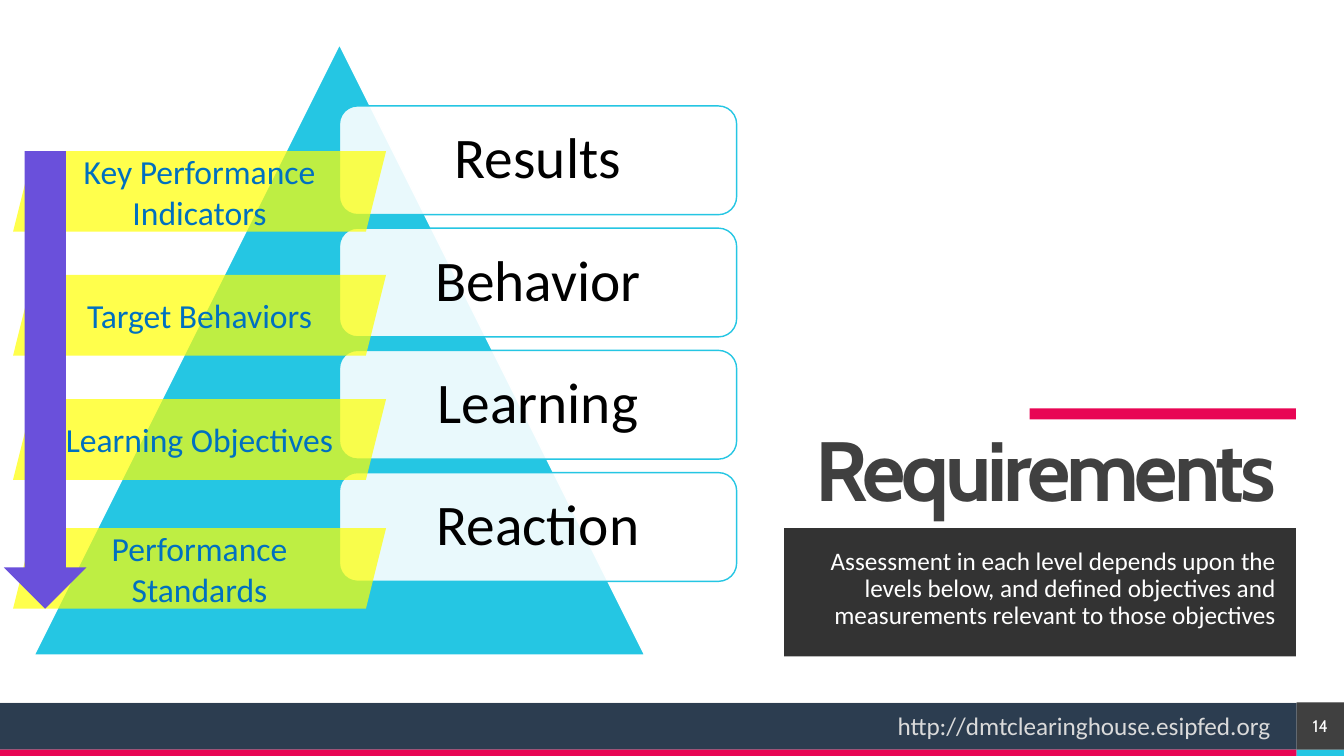
from lxml import etree
from pptx import Presentation
from pptx.dml.color import RGBColor
from pptx.enum.shapes import MSO_CONNECTOR, MSO_SHAPE
from pptx.enum.text import MSO_ANCHOR, MSO_AUTO_SIZE, PP_ALIGN
from pptx.oxml.ns import qn
from pptx.util import Cm, Pt

RECT = MSO_SHAPE.RECTANGLE
ROUND = MSO_SHAPE.ROUNDED_RECTANGLE
PEAK = MSO_SHAPE.ISOSCELES_TRIANGLE
SLANT = MSO_SHAPE.PARALLELOGRAM
ARROW = MSO_SHAPE.DOWN_ARROW
LINE = MSO_CONNECTOR.STRAIGHT
LEFT, MID, RIGHT = PP_ALIGN.LEFT, PP_ALIGN.CENTER, PP_ALIGN.RIGHT
TOP, CENTER = MSO_ANCHOR.TOP, MSO_ANCHOR.MIDDLE
FIXED = MSO_AUTO_SIZE.NONE

WIDE, HIGH = 33.87, 19.05
CYAN, PINK, GRAY, WHITE = "25C6E3", "E80554", "404040", "FFFFFF"
LEVELS = ["Results", "Behavior", "Learning", "Reaction"]
GOALS = [
    ("Key Performance Indicators", 0),
    ("Target Behaviors", 3.12),
    ("Learning Objectives", 6.25),
    ("Performance Standards", 9.5),
]
NOTE = (
    "Assessment in each level depends upon the levels below, "
    "and defined objectives and measurements relevant to those objectives"
)


def color(code):
    """Turn a hex string into a colour."""
    return RGBColor.from_string(code)


def paint(shape, fill, alpha=100, line=None):
    """Give a shape its fill, opacity and outline."""
    shape.fill.solid()
    shape.fill.fore_color.rgb = color(fill)
    if alpha < 100:
        tone = shape.element.find(".//" + qn("a:solidFill"))[0]
        etree.SubElement(tone, qn("a:alpha"), val=str(alpha * 1000))
    if line:
        shape.line.color.rgb = color(line)
        shape.line.width = Pt(1)
    else:
        shape.line.fill.background()


def draw(slide, kind, box, fill, alpha=100, line=None):
    """Add a preset shape in a box given in centimetres."""
    shape = slide.shapes.add_shape(kind, *map(Cm, box))
    shape.shadow.inherit = False
    paint(shape, fill, alpha, line)
    return shape


def write(shape, text, size, tone, face="Calibri", align=MID, anchor=CENTER,
          inset=None, lead=1.0, bold=False):
    """Set one styled paragraph in a shape."""
    frame = shape.text_frame
    frame.word_wrap = True
    frame.auto_size = FIXED
    frame.vertical_anchor = anchor
    if inset is not None:
        frame.margin_left = frame.margin_right = Cm(inset)
        frame.margin_top = frame.margin_bottom = Cm(inset)
    para = frame.paragraphs[0]
    para.text = text
    para.alignment = align
    para.line_spacing = lead
    para.space_before = Pt(0)
    font = para.font
    font.name, font.size, font.bold = face, Pt(size), bold
    font.color.rgb = color(tone)


def place(shape, box):
    """Move a placeholder into a box given in centimetres."""
    shape.left, shape.top, shape.width, shape.height = map(Cm, box)


def footer(slide, left, top, width, height):
    """Draw the bottom band with its address and page number."""
    tile, strip = 1.19, 0.16
    band, edge = width - tile, left + width - tile
    base = top + height - strip
    draw(slide, RECT, (left, top, band, height - strip), "2C3D50")
    draw(slide, RECT, (left, base, band, strip), PINK)
    draw(slide, RECT, (edge, base, tile, strip), CYAN)
    rule = slide.shapes.add_connector(
        LINE, Cm(left + width), Cm(top), Cm(left), Cm(top))
    rule.line.color.rgb = color("F2F2F2")
    rule.line.width = Pt(0.5)
    etree.SubElement(rule.element.spPr, qn("a:effectLst"))
    site = slide.shapes.add_textbox(
        Cm(edge - 10.31), Cm(top + 0.08), Cm(10.31), Cm(1.02))
    write(site, "http://dmtclearinghouse.esipfed.org", 18, "DADADA",
          align=LEFT, anchor=TOP)
    site.text_frame.word_wrap = False
    page = draw(slide, RECT, (edge, top, tile, height - strip), GRAY)
    write(page, "14", 12, WHITE, "Cabin", inset=0)


def heading(slide, left, top, width, height):
    """Fill the title and the dark note under a pink bar."""
    title, body = slide.placeholders
    bar = draw(slide, RECT, (left + width - 6.71, top, 6.71, 0.33), PINK)
    title.element.addprevious(bar.element)
    place(title, (left, top + 0.28, width, 2.74))
    paint(title, WHITE)
    write(title, "Requirements", 60, GRAY, "Cabin", RIGHT, inset=0.51,
          lead=0.9, bold=True)
    title.element.find(".//" + qn("a:defRPr")).set("spc", "-300")
    place(body, (left, top + 3.02, width, height - 3.02))
    paint(body, "000000", 80)
    para = body.text_frame.paragraphs[0]
    para.alignment = RIGHT
    props = body.element.find(".//" + qn("a:pPr"))
    props.set("marL", "0")
    props.set("indent", "0")
    etree.SubElement(props, qn("a:buNone"))
    write(body, NOTE, 18, WHITE, align=RIGHT, anchor=TOP, inset=0.51, lead=0.9)


def pyramid(slide, left, top, size):
    """Draw the triangle with one card for each level."""
    draw(slide, PEAK, (left, top, size, size), CYAN, line=WHITE)
    for row, name in enumerate(LEVELS):
        box = (left + size / 2, top + 1.55 + row * 3.08, 10.01, 2.74)
        card = draw(slide, ROUND, box, WHITE, 90, CYAN)
        write(card, name, 41, "000000", inset=0.43, lead=0.9)


def goals(slide, left, top, width, height):
    """Draw the slanted labels and the arrow running down them."""
    for name, drop in GOALS:
        label = draw(slide, SLANT, (left + 0.23, top + drop, width - 0.23, 2.03),
                     "FFFF00", 70)
        write(label, name, 24, "0070C0")
    draw(slide, ARROW, (left, top, 2.08, height), "6A50DB")


def main():
    """Build and save the slide."""
    deck = Presentation()
    deck.slide_width, deck.slide_height = Cm(WIDE), Cm(HIGH)
    slide = deck.slides.add_slide(deck.slide_layouts[1])
    footer(slide, 0, 17.7, WIDE, HIGH - 17.7)
    heading(slide, 19.76, 10.29, 12.9, 6.25)
    pyramid(slide, 0.86, 1.12, 15.39)
    goals(slide, 0.1, 3.81, 9.63, 11.53)
    deck.save("out.pptx")


if __name__ == "__main__":
    main()
